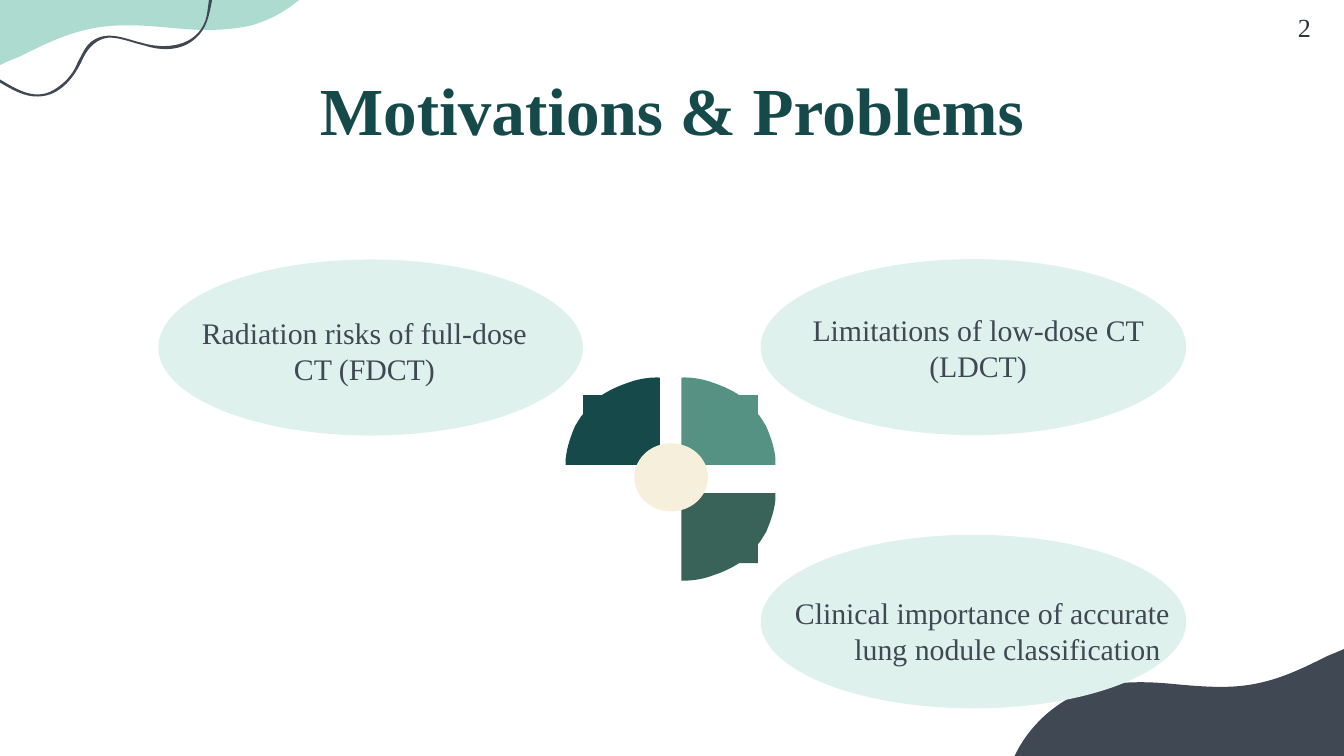
"""Build the Motivations & Problems slide."""
from lxml import etree
from pptx import Presentation
from pptx.dml.color import RGBColor
from pptx.enum.shapes import MSO_SHAPE
from pptx.enum.text import MSO_ANCHOR, PP_ALIGN
from pptx.oxml.ns import qn
from pptx.util import Pt

OVAL = MSO_SHAPE.OVAL
TOP, MIDDLE = MSO_ANCHOR.TOP, MSO_ANCHOR.MIDDLE
CENTER = PP_ALIGN.CENTER
FONT = "Times New Roman"
UNIT = 0.72
COLORS = {
    "mint": "ADDBD0", "slate": "3F4853", "pale": "DEF1EC", "deep": "164A4A",
    "sage": "569283", "moss": "396258", "cream": "F6EFDC", "ink": "2E3338",
}
WAVE = [
    (-139, -37), (-140, -21, -138, -6, -132, 8), (-123, 29, -103, 45, -82, 52),
    (-79, 53, -77, 54, -74, 54), (-49, 60, -23, 57, 1, 48), (5, 46, 10, 44, 15, 42),
    (31, 34, 47, 26, 65, 22), (86, 17, 108, 19, 130, 21), (150, 23, 169, 23, 187, 19),
    (215, 11, 239, -10, 250, -37),
]
SQUIGGLE = [
    (192, -53), (180, -47, 171, -37, 165, -26), (161, -20, 159, -14, 157, -8),
    (155, 0, 155, 8, 153, 15), (146, 35, 123, 37, 106, 32), (93, 29, 80, 22, 68, 31),
    (63, 35, 61, 41, 58, 46), (55, 54, 50, 60, 43, 65), (27, 77, 12, 66, -2, 58),
    (-27, 43, -58, 49, -75, 71), (-78, 76, -81, 81, -83, 86), (-83, 87, -81, 88, -81, 87),
    (-76, 71, -63, 59, -48, 54), (-31, 47, -13, 52, 1, 62), (13, 69, 24, 75, 38, 70),
    (50, 65, 57, 54, 62, 43), (66, 35, 72, 29, 81, 28), (90, 28, 99, 32, 108, 34),
    (120, 38, 135, 38, 145, 29), (157, 19, 156, 4, 160, -9), (164, -24, 173, -38, 186, -47),
    (188, -49, 191, -50, 193, -52), (194, -52, 193, -54, 192, -53),
]
WEDGE = [
    (577, 346), (577, 344, 577, 343, 577, 341), (576, 332, 573, 324, 570, 317),
    (568, 314, 566, 310, 564, 308), (564, 294), (550, 294),
    (544, 290, 537, 287, 531, 285), (518, 280, 507, 281, 507, 281), (507, 346),
]


def style(sp, color):
    sp.shadow.inherit = False
    sp.fill.solid()
    sp.fill.fore_color.rgb = RGBColor.from_string(COLORS[color])
    sp.line.fill.background()


def add_curve(outline, color, mirror_x=None, mirror_y=None):
    pts = [seg[i:i + 2] for seg in outline for i in range(0, len(seg), 2)]
    if mirror_x is not None:
        pts = [(mirror_x - x, y) for x, y in pts]
    if mirror_y is not None:
        pts = [(x, mirror_y - y) for x, y in pts]
    pts = [(Pt(x * UNIT), Pt(y * UNIT)) for x, y in pts]
    builder = s.shapes.build_freeform(*pts[0])
    builder.add_line_segments(pts[1:], close=True)
    sp = builder.convert_to_shape()
    lines = iter(list(sp._element.iter(qn("a:lnTo"))))
    for seg in outline[1:]:
        line = next(lines)
        if len(seg) == 6:
            curve = etree.Element(qn("a:cubicBezTo"))
            line.addprevious(curve)
            for part in (line, next(lines), next(lines)):
                curve.append(part[0])
                part.getparent().remove(part)
    style(sp, color)


prs = Presentation()
prs.slide_width, prs.slide_height = Pt(720), Pt(405)
s = prs.slides.add_slide(prs.slide_layouts[5])

add_curve(WAVE, "mint")
add_curve(WAVE, "slate", 1003, 530)
add_curve(SQUIGGLE, "slate")

for box in [(84.8, 139, 227.5, 94.3), (407.5, 138.8, 228, 94.3), (407.5, 286.5, 228, 93)]:
    style(s.shapes.add_shape(OVAL, *map(Pt, box)), "pale")

add_curve(WEDGE, "deep", mirror_x=998)
add_curve(WEDGE, "sage")
add_curve(WEDGE, "moss", mirror_y=713)
style(s.shapes.add_shape(OVAL, Pt(339.8), Pt(237.5), Pt(39.5), Pt(36.5)), "cream")

title = s.shapes.title
title.left, title.top, title.width, title.height = Pt(56), Pt(36.5), Pt(608), Pt(36)

texts = [
    (title, "Motivations & Problems", 36, "deep", TOP),
    ((677.5, 6.2, 42.5, 24.5), "2", 14, "ink", TOP),
    ((99.5, 148.3, 191.5, 79), "Radiation risks of full-dose CT (FDCT)", 16, "slate", MIDDLE),
    ((422.5, 151, 203, 70), "Limitations of low-dose CT (LDCT)", 16, "slate", MIDDLE),
    ((412, 301.5, 219.5, 91.5), "Clinical importance of accurate lung nodule classification",
     16, "slate", MIDDLE),
]
for place, text, size, color, anchor in texts:
    sp = place if place is title else s.shapes.add_textbox(*map(Pt, place))
    tf = sp.text_frame
    tf.word_wrap = True
    tf.vertical_anchor = anchor
    tf.margin_left = tf.margin_right = tf.margin_top = tf.margin_bottom = 0
    p = tf.paragraphs[0]
    p.alignment = CENTER
    p.space_before = Pt(0)
    r = p.add_run()
    r.text = text
    r.font.name = FONT
    r.font.size = Pt(size)
    r.font.bold = sp is title
    r.font.color.rgb = RGBColor.from_string(COLORS[color])

tf.margin_bottom = Pt(19)
pPr = p._p.get_or_add_pPr()
pPr.set("marL", str(Pt(36)))
pPr.set("indent", str(Pt(-27)))

prs.save("out.pptx")
